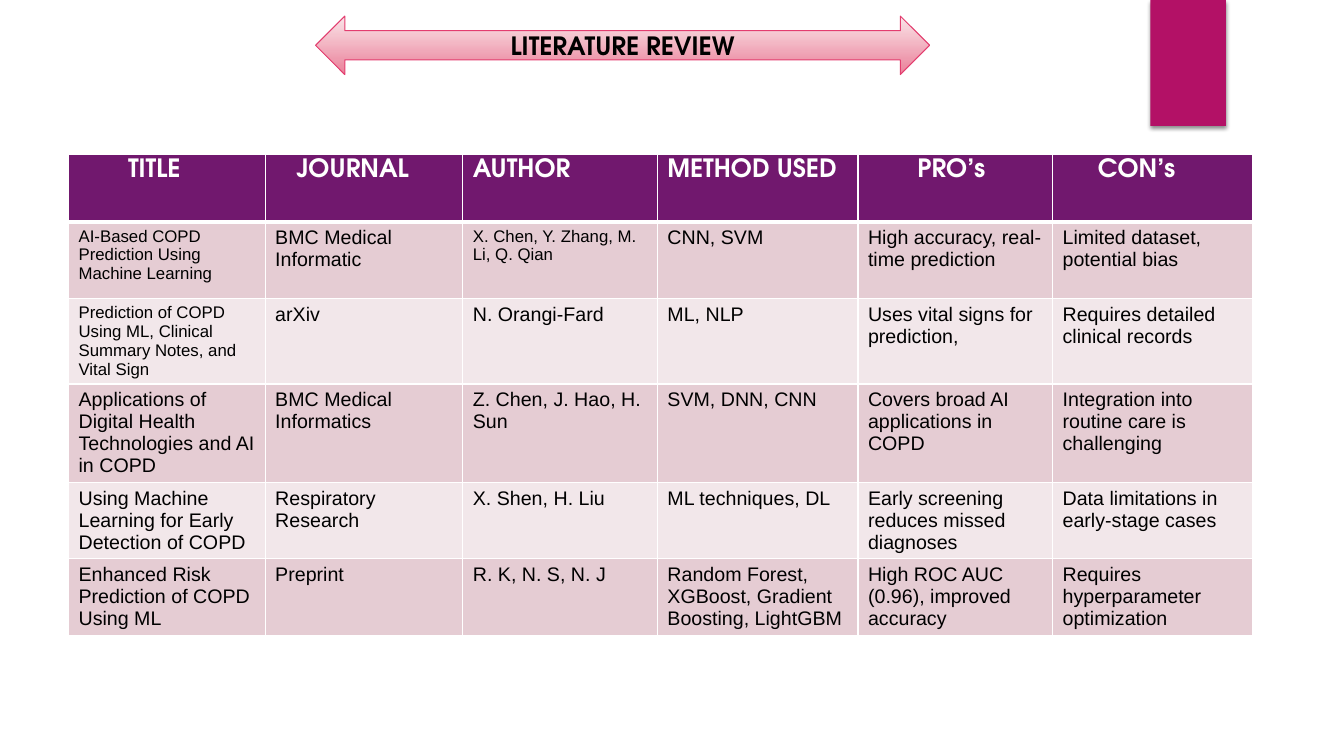
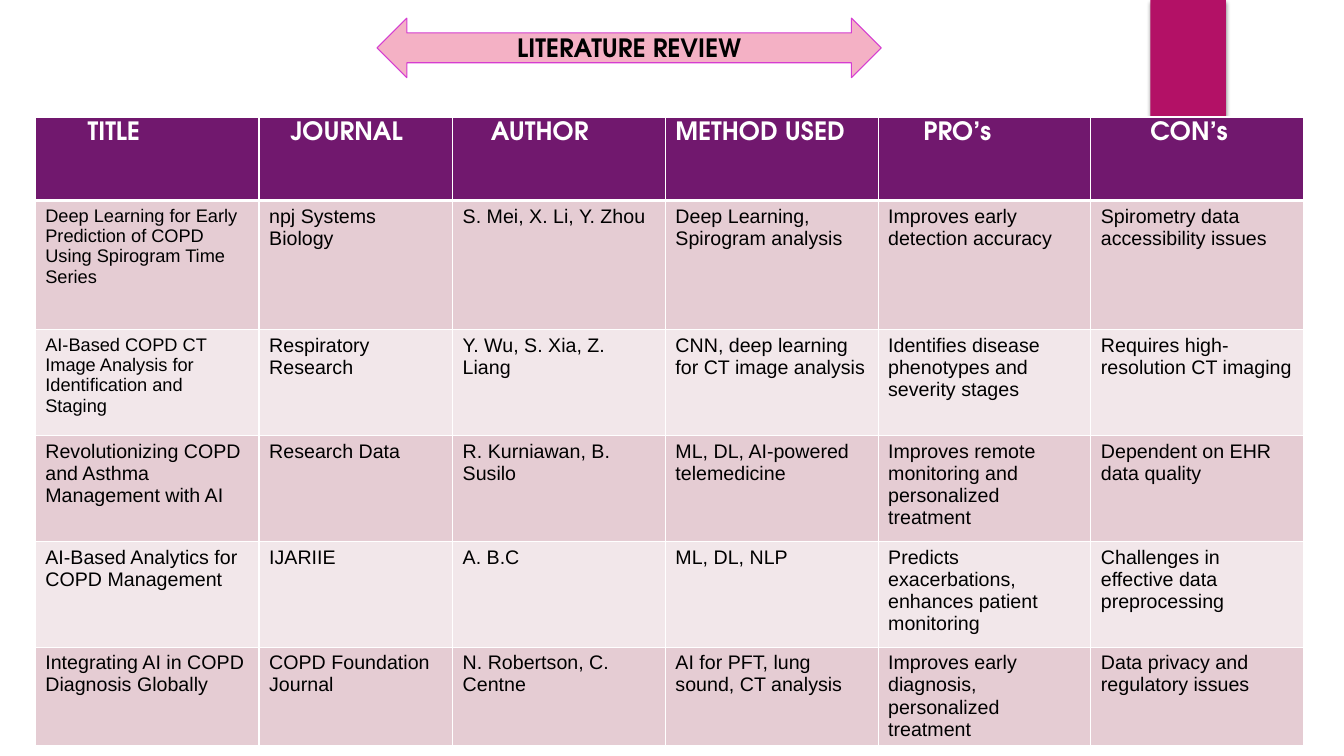
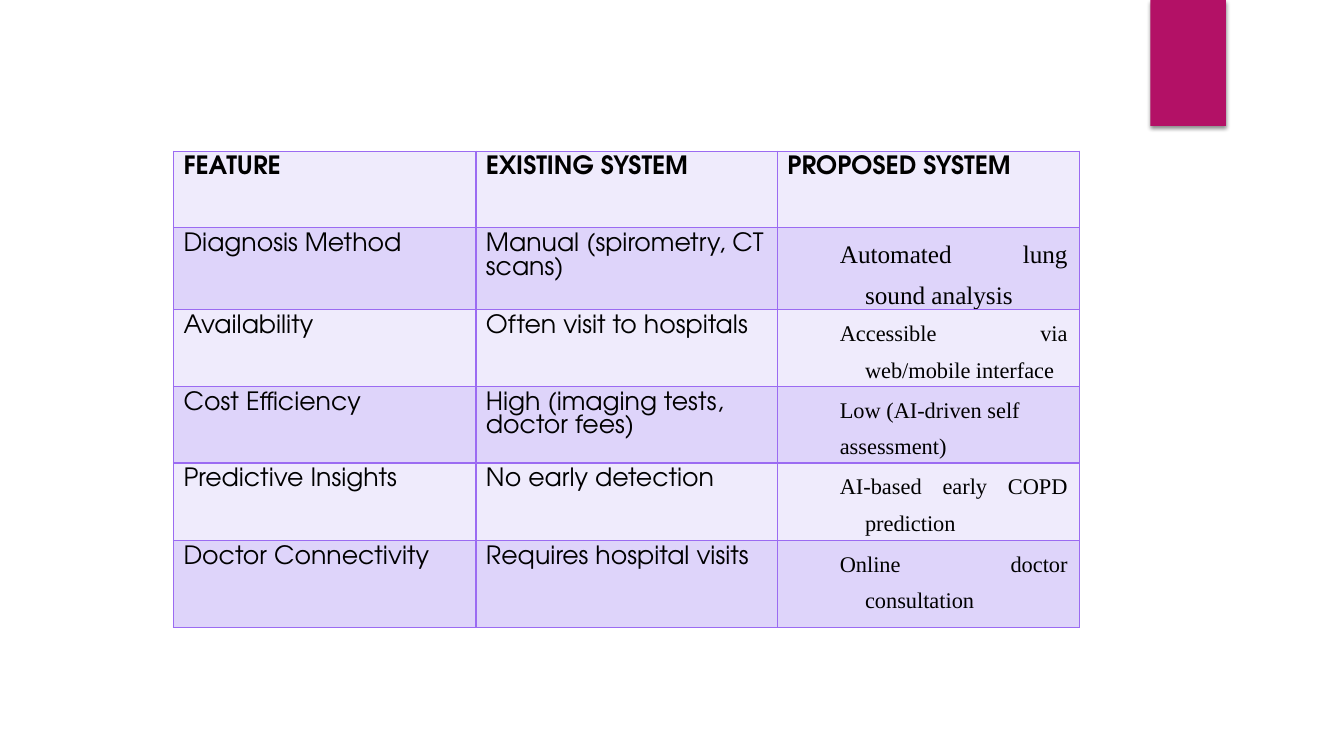
from lxml import etree
from pptx import Presentation
from pptx.dml.color import RGBColor
from pptx.enum.shapes import MSO_SHAPE
from pptx.enum.text import MSO_ANCHOR, MSO_AUTO_SIZE, PP_ALIGN
from pptx.oxml import parse_xml
from pptx.oxml.ns import nsdecls, qn
from pptx.util import Inches, Pt

RECTANGLE = MSO_SHAPE.RECTANGLE
DOUBLE_ARROW = MSO_SHAPE.LEFT_RIGHT_ARROW
MIDDLE = MSO_ANCHOR.MIDDLE
NO_FIT = MSO_AUTO_SIZE.NONE
LEFT, CENTER, JUSTIFY = PP_ALIGN.LEFT, PP_ALIGN.CENTER, PP_ALIGN.JUSTIFY
TITLE_ONLY, BLANK = 5, 6
DISPLAY, BODY, SERIF = "TeX Gyre Adventor", "Arial", "Times New Roman"
BLACK, WHITE = "000000", "FFFFFF"
MAGENTA, PURPLE, VIOLET = "B31166", "71186E", "9B6BF2"
ROSE_BANDS = ("E5CCD3", "F2E7EA")
LILAC_BANDS = ("EFEBFC", "DED4FA")
INDENT_STEP = 0.07

EARLY_STUDIES = [
    ["TITLE", "JOURNAL", "AUTHOR", "METHOD USED", "PRO’s", "CON’s"],
    ["AI-Based COPD Prediction Using Machine Learning", "BMC Medical Informatic",
     "X. Chen, Y. Zhang, M. Li, Q. Qian", "CNN, SVM",
     "High accuracy, real-time prediction", "Limited dataset, potential bias"],
    ["Prediction of COPD Using ML, Clinical Summary Notes, and Vital Sign", "arXiv",
     "N. Orangi-Fard", "ML, NLP",
     "Uses vital signs for prediction,", "Requires detailed clinical records"],
    ["Applications of Digital Health Technologies and AI in COPD",
     "BMC Medical Informatics", "Z. Chen, J. Hao, H. Sun", "SVM, DNN, CNN",
     "Covers broad AI applications in COPD",
     "Integration into routine care is challenging"],
    ["Using Machine Learning for Early Detection of COPD", "Respiratory Research",
     "X. Shen, H. Liu", "ML techniques, DL",
     "Early screening reduces missed diagnoses",
     "Data limitations in early-stage cases"],
    ["Enhanced Risk Prediction of COPD Using ML", "Preprint", "R. K, N. S, N. J",
     "Random Forest, XGBoost, Gradient Boosting, LightGBM",
     "High ROC AUC (0.96), improved accuracy",
     "Requires hyperparameter optimization"],
]
LATER_STUDIES = [
    EARLY_STUDIES[0],
    ["Deep Learning for Early Prediction of COPD Using Spirogram Time Series",
     "npj Systems Biology", "S. Mei, X. Li, Y. Zhou",
     "Deep Learning, Spirogram analysis", "Improves early detection accuracy",
     "Spirometry data accessibility issues"],
    ["AI-Based COPD CT Image Analysis for Identification and Staging",
     "Respiratory Research", "Y. Wu, S. Xia, Z. Liang",
     "CNN, deep learning for CT image analysis",
     "Identifies disease phenotypes and severity stages",
     "Requires high-resolution CT imaging"],
    ["Revolutionizing COPD and Asthma Management with AI", "Research Data",
     "R. Kurniawan, B. Susilo", "ML, DL, AI-powered telemedicine",
     "Improves remote monitoring and personalized treatment",
     "Dependent on EHR data quality"],
    ["AI-Based Analytics for COPD Management", "IJARIIE", "A. B.C", "ML, DL, NLP",
     "Predicts exacerbations, enhances patient monitoring",
     "Challenges in effective data preprocessing"],
    ["Integrating AI in COPD Diagnosis Globally", "COPD Foundation Journal",
     "N. Robertson, C. Centne", "AI for PFT, lung sound, CT analysis",
     "Improves early diagnosis, personalized treatment",
     "Data privacy and regulatory issues"],
]
SYSTEM_COMPARISON = [
    ["FEATURE", "EXISTING SYSTEM", "PROPOSED SYSTEM"],
    ["Diagnosis Method", "Manual (spirometry, CT scans)",
     "Automated lung sound analysis"],
    ["Availability", "Often visit to hospitals",
     "Accessible via web/mobile interface"],
    ["Cost Efficiency", "High (imaging tests, doctor fees)",
     "Low (AI-driven self\nassessment)"],
    ["Predictive Insights", "No early detection", "AI-based early COPD prediction"],
    ["Doctor Connectivity", "Requires hospital visits", "Online doctor consultation"],
]


def color(value):
    return RGBColor.from_string(value)


def write(frame, text, font=BODY, size=14, fill=BLACK, bold=False, align=LEFT,
          indent=0, hanging=0, spacing=None):
    for index, line in enumerate(text.split("\n")):
        paragraph = frame.add_paragraph() if index else frame.paragraphs[0]
        paragraph.alignment = align
        if spacing:
            paragraph.line_spacing = spacing
        if indent:
            properties = paragraph._p.get_or_add_pPr()
            properties.set("marL", str(Inches(indent)))
            properties.set("indent", str(-Inches(hanging)))
        run = paragraph.add_run()
        run.text = line
        run.font.name, run.font.size, run.font.bold = font, Pt(size), bold
        run.font.color.rgb = color(fill)


class Deck:
    def __init__(self):
        self.presentation = Presentation()
        self.presentation.slide_width = Inches(13.33)
        self.presentation.slide_height = Inches(7.5)
        self.slide = None

    def new_slide(self, layout):
        layouts = self.presentation.slide_layouts
        self.slide = self.presentation.slides.add_slide(layouts[layout])
        self.bookmark()

    def shape(self, preset, box, fills, line=None):
        shape = self.slide.shapes.add_shape(preset, *map(Inches, box))
        shape.shadow.inherit = False
        if len(fills) > 1:
            shape.fill.gradient()
            shape.fill.gradient_angle = 270
            for stop, value in zip(shape.fill.gradient_stops, fills):
                stop.color.rgb = color(value)
        else:
            shape.fill.solid()
            shape.fill.fore_color.rgb = color(fills[0])
        if line:
            shape.line.color.rgb = color(line)
            shape.line.width = Pt(0.75)
        else:
            shape.line.fill.background()
        return shape

    def bookmark(self):
        ribbon = self.shape(RECTANGLE, (11.41, 0, 0.75, 1.25), [MAGENTA])
        effects = ribbon._element.spPr.find(qn("a:effectLst"))
        shadow = etree.SubElement(effects, qn("a:outerShdw"), blurRad=str(Pt(3)),
                                  dist=str(Pt(2)), dir="5400000", rotWithShape="0")
        tint = etree.SubElement(shadow, qn("a:srgbClr"), val=BLACK)
        etree.SubElement(tint, qn("a:alpha"), val="45000")

    def title(self, text, box, fills, line):
        self.shape(DOUBLE_ARROW, box, fills, line)
        heading = self.slide.shapes.title
        heading.left, heading.top, heading.width, heading.height = map(Inches, box)
        frame = heading.text_frame
        frame.auto_size, frame.vertical_anchor = NO_FIT, MIDDLE
        frame.margin_top = frame.margin_bottom = 0
        write(frame, text, font=DISPLAY, size=18, bold=True, align=CENTER)
        tree = self.slide.shapes._spTree
        tree.append(heading._element)

    def cell_borders(self, cell, line, top=1, bottom=1):
        properties = cell._tc.get_or_add_tcPr()
        sides = (("lnL", 1), ("lnR", 1), ("lnT", top), ("lnB", bottom))
        for position, (side, width) in enumerate(sides):
            properties.insert(position, parse_xml(
                f'<a:{side} {nsdecls("a")} w="{Pt(width)}"><a:solidFill>'
                f'<a:srgbClr val="{line}"/></a:solidFill></a:{side}>'))

    def table(self, rows, left, top, widths, heights, line, cell_style):
        frame = self.slide.shapes.add_table(
            len(rows), len(widths), Inches(left), Inches(top),
            Inches(sum(widths)), Inches(sum(heights)))
        table = frame.table
        table.horz_banding = False
        for column, width in zip(table.columns, widths):
            column.width = Inches(width)
        for r, (row, height) in enumerate(zip(rows, heights)):
            table.rows[r].height = Inches(height)
            for c, text in enumerate(row):
                cell = table.cell(r, c)
                background, margins, borders, style = cell_style(r, c)
                cell.fill.solid()
                cell.fill.fore_color.rgb = color(background)
                if margins:
                    cell.margin_left = cell.margin_right = Inches(margins[0])
                    cell.margin_top = cell.margin_bottom = Inches(margins[1])
                self.cell_borders(cell, line, **borders)
                write(cell.text_frame, text, **style)

    def review_table(self, rows, left, top, widths, heights, steps, small):
        def cell_style(r, c):
            if r == 0:
                return PURPLE, None, {"bottom": 3}, {
                    "font": DISPLAY, "size": 18, "fill": WHITE, "bold": True,
                    "indent": steps[c] * INDENT_STEP}
            borders = {"top": 3} if r == 1 else {}
            return ROSE_BANDS[(r - 1) % 2], None, borders, {"size": small.get((r, c), 14)}

        self.table(rows, left, top, widths, heights, WHITE, cell_style)

    def comparison_table(self, rows, left, top, widths, heights):
        def cell_style(r, c):
            background = LILAC_BANDS[r % 2]
            if r and c == 2:
                return background, (0.12, 0), {}, {
                    "font": SERIF, "size": 18 if r == 1 else 16, "align": JUSTIFY,
                    "indent": 0.75, "hanging": 0.25, "spacing": 1.47}
            return background, None, {}, {"font": DISPLAY, "size": 18, "bold": r == 0}

        self.table(rows, left, top, widths, heights, VIOLET, cell_style)


def main():
    deck = Deck()

    deck.new_slide(TITLE_ONLY)
    deck.title("LITERATURE REVIEW", (3.13, 0.16, 6.09, 0.58),
               ["FAE5E9", "EA8099"], "E33D6F")
    deck.review_table(EARLY_STUDIES, 0.68, 1.53,
                      [1.95, 1.96, 1.93, 1.99, 1.93, 1.98],
                      [0.67, 0.76, 0.85, 0.97, 0.76, 0.76],
                      [7, 3, 0, 0, 7, 5], {(1, 0): 12, (1, 2): 12, (2, 0): 12})

    deck.new_slide(TITLE_ONLY)
    deck.title("LITERATURE REVIEW", (3.74, 0.18, 5, 0.59), ["F4B1C5"], "D53DD0")
    deck.review_table(LATER_STUDIES, 0.35, 1.16,
                      [2.22, 1.92] + [2.11] * 4,
                      [0.83, 1.28, 1.05, 1.05, 1.05, 0.97],
                      [6, 3, 4, 0, 5, 7], {(1, 0): 13, (2, 0): 13})

    deck.new_slide(BLANK)
    deck.comparison_table(SYSTEM_COMPARISON, 1.72, 1.5, [3, 2.99, 3],
                          [0.76, 0.8, 0.76, 0.76, 0.77, 0.86])

    deck.presentation.save("out.pptx")


if __name__ == "__main__":
    main()
